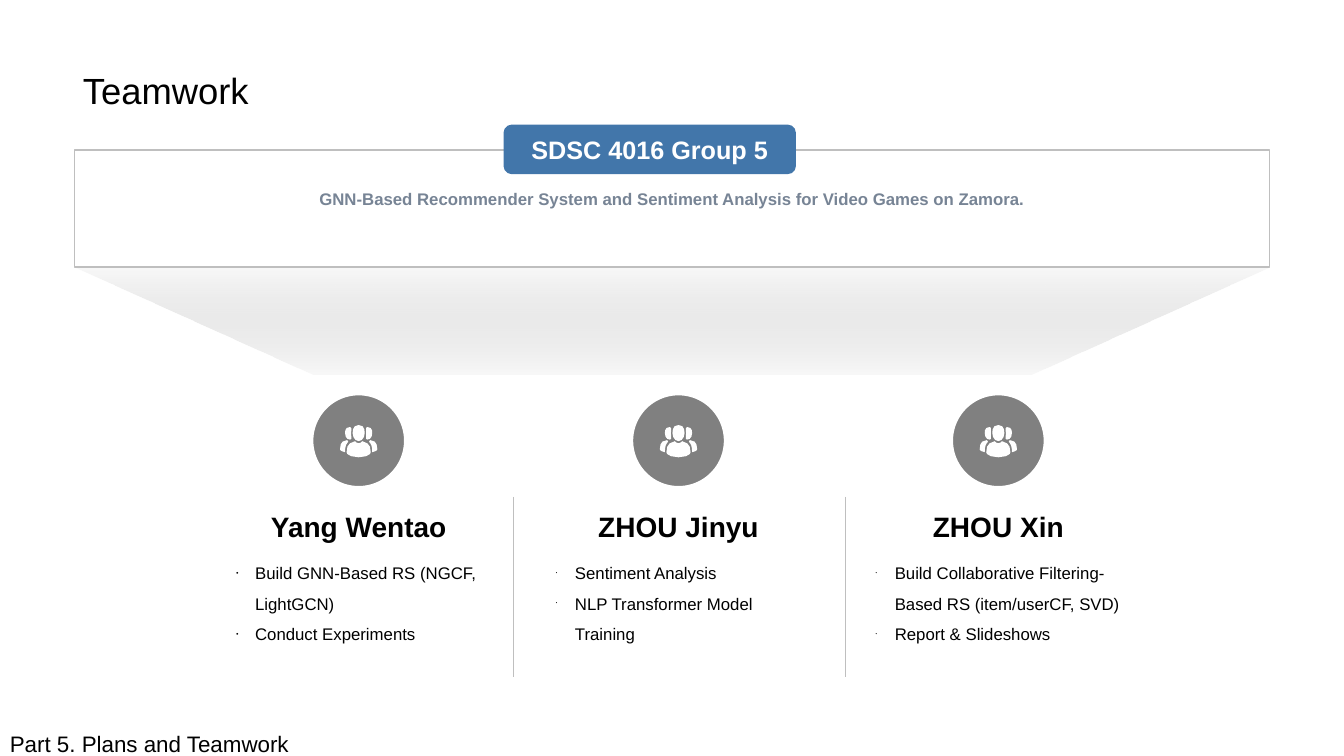
from lxml import etree
from pptx import Presentation
from pptx import util as u
from pptx.dml.color import RGBColor
from pptx.enum import shapes, text
from pptx.oxml.ns import qn

BLACK = RGBColor(0, 0, 0)
WHITE = RGBColor(0xFF, 0xFF, 0xFF)
PALE = RGBColor(0xF2, 0xF2, 0xF2)
GREY = RGBColor(0x80, 0x80, 0x80)
RULE = RGBColor(0xBF, 0xBF, 0xBF)
SLATE = RGBColor(0x77, 0x84, 0x95)
BLUE = RGBColor(0x42, 0x76, 0xAA)

COL_W, COL_PITCH = 6.68, 8.06
ICON_W, ICON_H = 0.94, 0.79
ICON_UNITS, CURVE_STEPS = 37, 3
FINE = 100

BODY = [(15, 16), (15, 16, 16, 18, 18.5, 18), (21, 18, 22, 16, 22, 16),
        (29, 18, 30, 20, 30.5, 27), (31, 28, 28, 32, 18.5, 32),
        (9, 32, 6, 28, 6.5, 27), (7, 20, 8, 18, 15, 16)]
HEAD = [(18.5, 0), (23.5, 0, 24.5, 4, 24.5, 8), (24.5, 12, 22, 16, 18.5, 16),
        (15, 16, 12.5, 12, 12.5, 8), (12.5, 4, 13.5, 0, 18.5, 0)]
SIDE_BODY = [(30, 15), (36, 16, 36.5, 18, 37, 24), (37, 25, 36, 26, 32, 27),
             (32, 23, 31.5, 20, 30, 18), (29, 17, 28, 16, 30, 15)]
SIDE_HEAD = [(27, 2), (31.5, 2, 32, 5, 32, 8), (32, 12, 30, 14.5, 27, 14.5),
             (25, 14.5, 26, 12, 26, 8), (26, 6, 25, 2, 27, 2)]

MEMBERS = [
    ("Yang Wentao", "●", ["Build GNN-Based RS (NGCF, LightGCN)", "Conduct Experiments"]),
    ("ZHOU Jinyu", "•", ["Sentiment Analysis", "NLP Transformer Model Training"]),
    ("ZHOU Xin", "•", ["Build Collaborative Filtering-Based RS (item/userCF, SVD)",
                       "Report & Slideshows"]),
]


def write(sp, lines, size=12, color=BLACK, bold=False, align=text.PP_ALIGN.LEFT,
          anchor=text.MSO_ANCHOR.TOP, spacing=None, wrap=True, bullet=None):
    """Fill a shape with formatted paragraphs."""
    tf = sp.text_frame
    tf.word_wrap, tf.vertical_anchor = wrap, anchor
    for i, line in enumerate(lines):
        p = tf.add_paragraph() if i else tf.paragraphs[0]
        p.alignment, p.line_spacing = align, spacing
        r = p.add_run()
        r.text = line
        r.font.name, r.font.size, r.font.bold = "Arial", u.Pt(size), bold
        r.font.color.rgb = color
        if bullet:
            pPr = p._p.get_or_add_pPr()
            pPr.set("marL", str(u.Cm(0.48)))
            pPr.set("indent", str(u.Cm(-0.48)))
            etree.SubElement(pPr, qn("a:buSzPct")).set("val", "25000")
            etree.SubElement(pPr, qn("a:buFont")).set("typeface", "Arial")
            etree.SubElement(pPr, qn("a:buChar")).set("char", bullet)


def textbox(s, x, y, w, h, lines, **fmt):
    """Add a text box measured in centimetres."""
    write(s.shapes.add_textbox(u.Cm(x), u.Cm(y), u.Cm(w), u.Cm(h)), lines, **fmt)


def paint(sp, fill=None, line=None, width=1):
    """Set the fill and outline of a shape and drop its shadow."""
    sp.shadow.inherit = False
    if fill is not None:
        sp.fill.solid()
        sp.fill.fore_color.rgb = fill
    if line is None:
        sp.line.fill.background()
    else:
        sp.line.color.rgb, sp.line.width = line, u.Pt(width)


def shape(s, kind, x, y, w, h, **style):
    """Add a painted preset shape measured in centimetres."""
    sp = s.shapes.add_shape(kind, u.Cm(x), u.Cm(y), u.Cm(w), u.Cm(h))
    paint(sp, **style)
    return sp


def banner(s, x, y, w, h):
    """Draw the project box with its label and the funnel below it."""
    kinds = shapes.MSO_SHAPE
    funnel = shape(s, kinds.FLOWCHART_MANUAL_OPERATION, x, y + h, w, 2.71)
    funnel.fill.gradient()
    funnel.fill.gradient_angle = 270
    for stop, color in zip(funnel.fill.gradient_stops, (PALE, GREY)):
        stop.color.rgb = color
    for clr, alpha in zip(funnel._element.spPr.iter(qn("a:srgbClr")), (53000, 5000)):
        etree.SubElement(clr, qn("a:alpha")).set("val", str(alpha))

    box = shape(s, kinds.RECTANGLE, x, y, w, h, fill=WHITE, line=RULE)
    box.text_frame.margin_top = u.Cm(0.88)
    write(box, ["GNN-Based Recommender System and Sentiment Analysis for Video Games\u00a0on Zamora."],
          color=SLATE, bold=True, align=text.PP_ALIGN.CENTER, spacing=1.2)

    label = shape(s, kinds.ROUNDED_RECTANGLE, x + 10.81, y - 0.64, 7.37, 1.25, fill=BLUE)
    write(label, ["SDSC 4016 Group 5"], size=18, color=WHITE, bold=True,
          align=text.PP_ALIGN.CENTER, anchor=text.MSO_ANCHOR.MIDDLE)


def outline(curves):
    """Return points along a chain of cubic curves."""
    points = [curves[0]]
    for x1, y1, x2, y2, x3, y3 in curves[1:]:
        x0, y0 = points[-1]
        for i in range(1, CURVE_STEPS + 1):
            t = i / CURVE_STEPS
            a, b, c, d = (1 - t) ** 3, 3 * t * (1 - t) ** 2, 3 * t * t * (1 - t), t ** 3
            points.append((a * x0 + b * x1 + c * x2 + d * x3,
                           a * y0 + b * y1 + c * y2 + d * y3))
    return points


def people_icon(s, x, y, w):
    """Draw the white group-of-people symbol."""
    sides = [outline(SIDE_BODY), outline(SIDE_HEAD)]
    mirrored = [[(ICON_UNITS - px, py) for px, py in side] for side in sides]
    contours = [[(px * FINE, py * FINE) for px, py in contour]
                for contour in [outline(BODY), outline(HEAD)] + sides + mirrored]
    fb = s.shapes.build_freeform(*contours[0][0], scale=u.Cm(w) / (ICON_UNITS * FINE))
    for i, contour in enumerate(contours):
        if i:
            fb.move_to(*contour[0])
        fb.add_line_segments(contour[1:-1], close=True)
    paint(fb.convert_to_shape(u.Cm(x), u.Cm(y)), fill=WHITE)


def member(s, x, y, w, name, bullet, tasks):
    """Draw one team member's badge, name and tasks."""
    d = 2.39
    center = x + w / 2
    shape(s, shapes.MSO_SHAPE.OVAL, center - d / 2, y, d, d, fill=GREY, line=WHITE, width=3)
    people_icon(s, center - ICON_W / 2, y + (d - ICON_H) / 2, ICON_W)
    textbox(s, x, y + 2.8, w, 1.09, [name], size=20, bold=True,
            align=text.PP_ALIGN.CENTER, wrap=False)
    textbox(s, x, y + 3.9, w, 1.75, tasks, spacing=1.5, bullet=bullet)


def divider(s, x, y, h):
    """Draw a thin vertical line between two members."""
    ln = s.shapes.add_connector(shapes.MSO_CONNECTOR.STRAIGHT,
                                u.Cm(x), u.Cm(y), u.Cm(x), u.Cm(y + h))
    ln.line.color.rgb, ln.line.width = RULE, u.Pt(0.25)
    etree.SubElement(ln._element.spPr, qn("a:effectLst"))


def main():
    """Build the teamwork slide."""
    prs = Presentation()
    prs.slide_width, prs.slide_height = u.Cm(33.87), u.Cm(19.05)
    s = prs.slides.add_slide(prs.slide_layouts[6])
    textbox(s, 1.84, 1.85, 4.9, 0.97, ["Teamwork"], size=26, spacing=0.9,
            anchor=text.MSO_ANCHOR.MIDDLE)
    banner(s, 1.88, 3.78, 30.12, 2.95)
    for i, (name, bullet, tasks) in enumerate(MEMBERS):
        member(s, 5.7 + i * COL_PITCH, 9.91, COL_W, name, bullet, tasks)
    for x in (12.93, 21.31):
        divider(s, x, 12.52, 4.55)
    textbox(s, 0, 18.14, 10.54, 1.83, ["Part 5. Plans and Teamwork"], size=16, spacing=1.2)
    prs.save("out.pptx")


if __name__ == "__main__":
    main()
